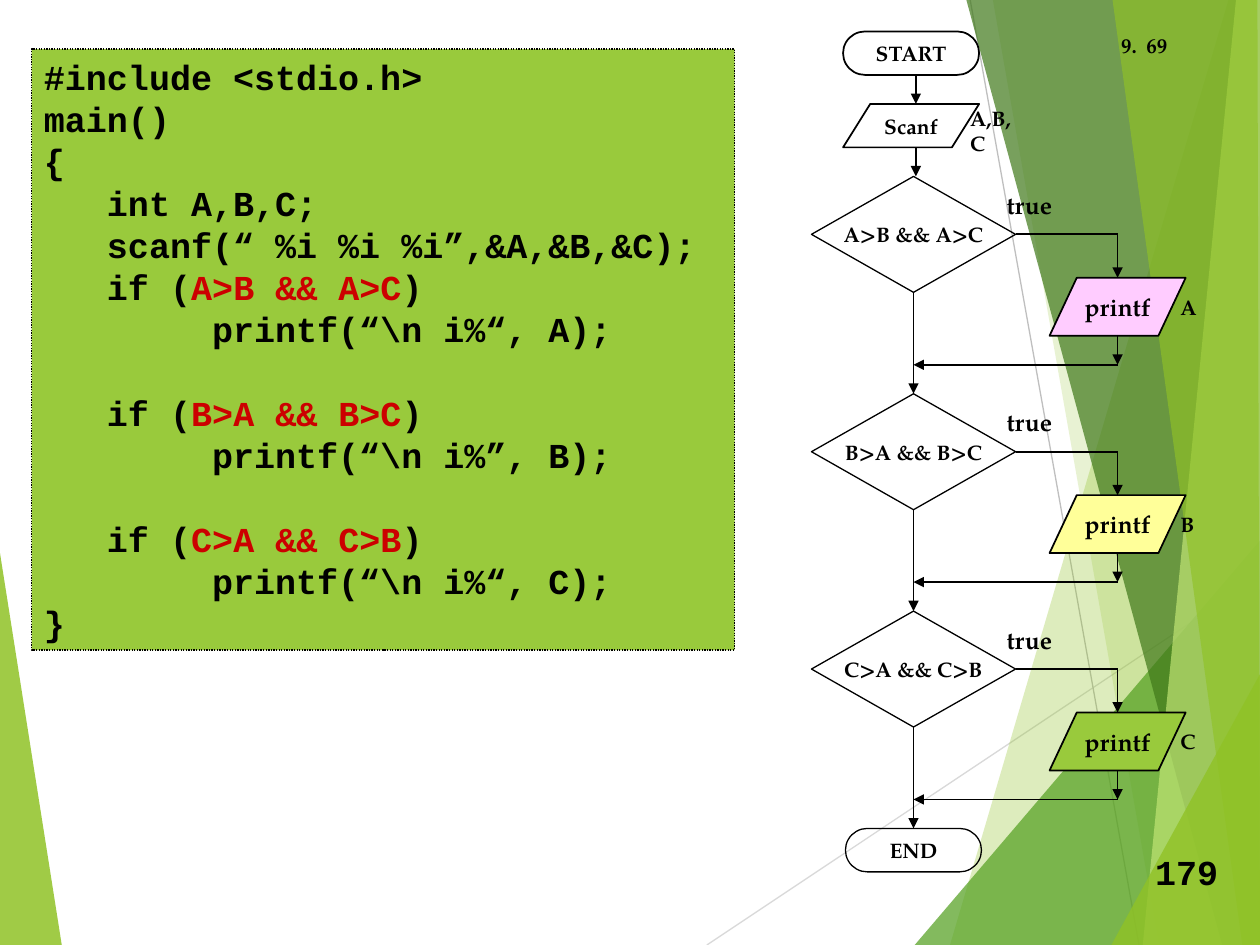
from collections import namedtuple

from lxml.etree import SubElement
from pptx import Presentation
from pptx.dml.color import RGBColor
from pptx.enum.dml import MSO_LINE
from pptx.enum.shapes import MSO_CONNECTOR as LINK, MSO_SHAPE as SHAPE
from pptx.enum.text import MSO_ANCHOR as ANCHOR, PP_ALIGN as ALIGN
from pptx.oxml.ns import qn
from pptx.util import Inches, Pt

Box = namedtuple("Box", "left top width height")
PAGE = Box(0, 0, 10, 7.5)
COL, ROW = 0.27, 0.23  # flowchart grid

BLACK = RGBColor(0x00, 0x00, 0x00)
RED = RGBColor(0xCC, 0x00, 0x00)
GREEN = RGBColor(0x99, 0xCA, 0x3C)
PINK = RGBColor(0xFF, 0xCC, 0xFF)
YELLOW = RGBColor(0xFF, 0xFF, 0x99)
LEAF = RGBColor(0x90, 0xC2, 0x26)
GRASS = RGBColor(0x54, 0xA0, 0x21)
FOREST = RGBColor(0x3F, 0x78, 0x19)
LIME = RGBColor(0xC0, 0xE4, 0x74)
PALE_GRAY = RGBColor(0xD9, 0xD9, 0xD9)
GRAY = RGBColor(0xBF, 0xBF, 0xBF)
SERIF, MONO = "TeX Gyre Pagella", "Courier New"

# colour, opacity in percent, corners
LEFT_FACET = (LEAF, 85, [(0, 4.39), (0.49, 7.5), (0, 7.5)])
RIGHT_FACETS = [
    (LEAF, 30, [(9.75, 0), (7.54, 7.5), (10, 7.5), (10, 0)]),
    (LEAF, 20, [(7.88, 0), (9.2, 7.5), (10, 7.5), (10, 0)]),
    (GRASS, 72, [(7.26, 7.5), (10, 4.29), (10, 7.5)]),
    (FOREST, 70, [(7.67, 0), (9.7, 7.5), (10, 7.5), (10, 0)]),
    (LIME, 70, [(9.81, 0), (9.07, 7.5), (10, 7.5), (10, 0)]),
    (LEAF, 65, [(8.83, 0), (9.86, 7.5), (10, 7.5), (9.98, 0)]),
    (LEAF, 80, [(8.82, 7.5), (10, 5.35), (10, 7.5)]),
]
BRANCHES = [("A>B && A>C", "A", PINK),
            ("B>A && B>C", "B", YELLOW),
            ("C>A && C>B", "C", GREEN)]

# Text before, in and after the red part, and blank lines above
CODE = [
    ("#include <stdio.h>", "", "", 0),
    ("main()", "", "", 0),
    ("{", "", "", 0),
    ("   int A,B,C;", "", "", 0),
    ("   scanf(“ %i %i %i”,&A,&B,&C);", "", "", 0),
    ("   if (", "A>B && A>C", ")", 0),
    ("        printf(“\\n i%“, A);", "", "", 0),
    ("   if (", "B>A && B>C", ")", 1),
    ("        printf(“\\n i%”, B);", "", "", 0),
    ("   if (", "C>A && C>B", ")", 1),
    ("        printf(“\\n i%“, C);", "", "", 0),
    ("}", "", "", 0),
]


def inches(*lengths):
    return [Inches(length) for length in lengths]


def add_run(paragraph, words, size, face=SERIF, color=BLACK):
    run = paragraph.add_run()
    run.text = words
    run.font.size, run.font.name, run.font.bold = Pt(size), face, True
    run.font.color.rgb = color


def add_label(slide, box, words, size=12, face=SERIF):
    frame = slide.shapes.add_textbox(*inches(*box)).text_frame
    frame.word_wrap = False
    add_run(frame.paragraphs[0], words, size, face)


def add_line(slide, start, end, arrow=True, color=BLACK, weight=1):
    line = slide.shapes.add_connector(LINK.STRAIGHT, *inches(*start, *end))
    line.line.color.rgb = color
    line.line.width = Pt(weight)
    if arrow:
        SubElement(line.line._get_or_add_ln(), qn("a:tailEnd"), type="triangle")
    SubElement(line._element.spPr, qn("a:effectLst"))
    return line


def add_facet(slide, color, opacity, corners):
    builder = slide.shapes.build_freeform(*inches(*corners[0]))
    builder.add_line_segments([inches(*corner) for corner in corners[1:]])
    facet = builder.convert_to_shape()
    facet.shadow.inherit = False
    facet.line.fill.background()
    facet.fill.solid()
    facet.fill.fore_color.rgb = color
    tint = facet._element.spPr.find(qn("a:solidFill"))[0]
    SubElement(tint, qn("a:alpha"), val=str(opacity * 1000))


def add_backdrop(slide, page):
    add_facet(slide, *LEFT_FACET)
    add_line(slide, (0.561 * page.width, page.height),
             (page.width, 0.61 * page.height), False, PALE_GRAY, 0.75)
    add_line(slide, (0.77 * page.width, 0),
             (0.904 * page.width, page.height), False, GRAY, 0.75)
    for facet in RIGHT_FACETS:
        add_facet(slide, *facet)


def add_outlined(slide, kind, box, fill=None, weight=1):
    shape = slide.shapes.add_shape(kind, *inches(*box))
    shape.shadow.inherit = False
    if fill is None:
        shape.fill.background()
    else:
        shape.fill.solid()
        shape.fill.fore_color.rgb = fill
    shape.line.color.rgb = BLACK
    shape.line.width = Pt(weight)
    return shape


def add_code(slide, box):
    panel = add_outlined(slide, SHAPE.RECTANGLE, box, GREEN, 0.75)
    panel.line.dash_style = MSO_LINE.ROUND_DOT
    frame = panel.text_frame
    frame.word_wrap, frame.vertical_anchor = True, ANCHOR.TOP
    for number, (before, condition, after, gap) in enumerate(CODE):
        line = frame.paragraphs[0] if number == 0 else frame.add_paragraph()
        line.alignment, line.line_spacing = ALIGN.LEFT, Pt(24)
        if gap:
            line.space_before = Pt(24 * gap)
        for words, color in ((before, BLACK), (condition, RED), (after, BLACK)):
            if words:
                add_run(line, words, 20, MONO, color)


def add_step(slide, kind, box, words, size=12, fill=None, weight=1):
    step = add_outlined(slide, kind, box, fill, weight)
    frame = step.text_frame
    frame.word_wrap, frame.vertical_anchor = False, ANCHOR.MIDDLE
    frame.paragraphs[0].alignment = ALIGN.CENTER
    add_run(frame.paragraphs[0], words, size)
    return step


def add_branch(slide, box, condition, name, fill):
    """Draw a decision with its true path in a box 11 columns by 7.5 rows."""
    def at(col, row):
        return box.left + col * COL, box.top + row * ROW

    decision = add_step(slide, SHAPE.FLOWCHART_DECISION,
                        (*at(0, 0), 6 * COL, 4 * ROW), condition, weight=0.75)
    add_step(slide, SHAPE.FLOWCHART_DATA,
             (*at(7, 3.5), 4 * COL, 2 * ROW), "printf", 14, fill)
    add_line(slide, at(6, 2), at(9, 2), False).begin_connect(decision, 3)
    add_line(slide, at(9, 2), at(9, 3.5))
    add_line(slide, at(9, 5.5), at(9, 6.5))
    add_line(slide, at(9, 6.5), at(3, 6.5))
    add_label(slide, (*at(5.37, 0.26), 0.62, 0.34), "true", 14)
    add_label(slide, (*at(10.48, 3.85), 0.32, 0.3), name)
    return decision


def add_flowchart(slide, box):
    def at(col, row):
        return box.left + col * COL, box.top + row * ROW

    small = 4 * COL, 1.5 * ROW
    add_step(slide, SHAPE.FLOWCHART_TERMINATOR, (*at(0.93, 0), *small), "START")
    add_step(slide, SHAPE.FLOWCHART_DATA, (*at(0.93, 2.5), *small), "Scanf")
    add_label(slide, (*at(4.3, 2.35), 0.64, 0.3), "A,B,C")
    for row in (1.5, 4):
        add_line(slide, at(3.07, row), at(3.07, row + 1))

    trunk = [add_branch(slide, Box(*at(0, 5 + 7.5 * index), 11 * COL, 7.5 * ROW), *branch)
             for index, branch in enumerate(BRANCHES)]
    trunk.append(add_step(slide, SHAPE.FLOWCHART_TERMINATOR,
                          (*at(1, 27.5), *small), "END", weight=0.75))
    for upper, lower in zip(trunk, trunk[1:]):
        link = add_line(slide, at(3, 0), at(3, 1))
        link.begin_connect(upper, 2)
        link.end_connect(lower, 0)


def add_numbers(slide, page):
    add_label(slide, (0.88 * page.width, 0.21, 0.34, 0.3), "9.")
    add_label(slide, (0.9 * page.width, 0.21, 0.37, 0.3), "69")
    add_label(slide, (0.907 * page.width, 6.7, 0.7, 0.44), "179", 20, MONO)


def main():
    deck = Presentation()
    deck.slide_width, deck.slide_height = inches(PAGE.width, PAGE.height)
    slide = deck.slides.add_slide(deck.slide_layouts[6])
    add_backdrop(slide, PAGE)
    add_code(slide, Box(0.25, 0.39, 5.58, 4.77))
    add_flowchart(slide, Box(6.44, 0.25, 11 * COL, 29 * ROW))
    add_numbers(slide, PAGE)
    deck.save("out.pptx")


if __name__ == "__main__":
    main()
